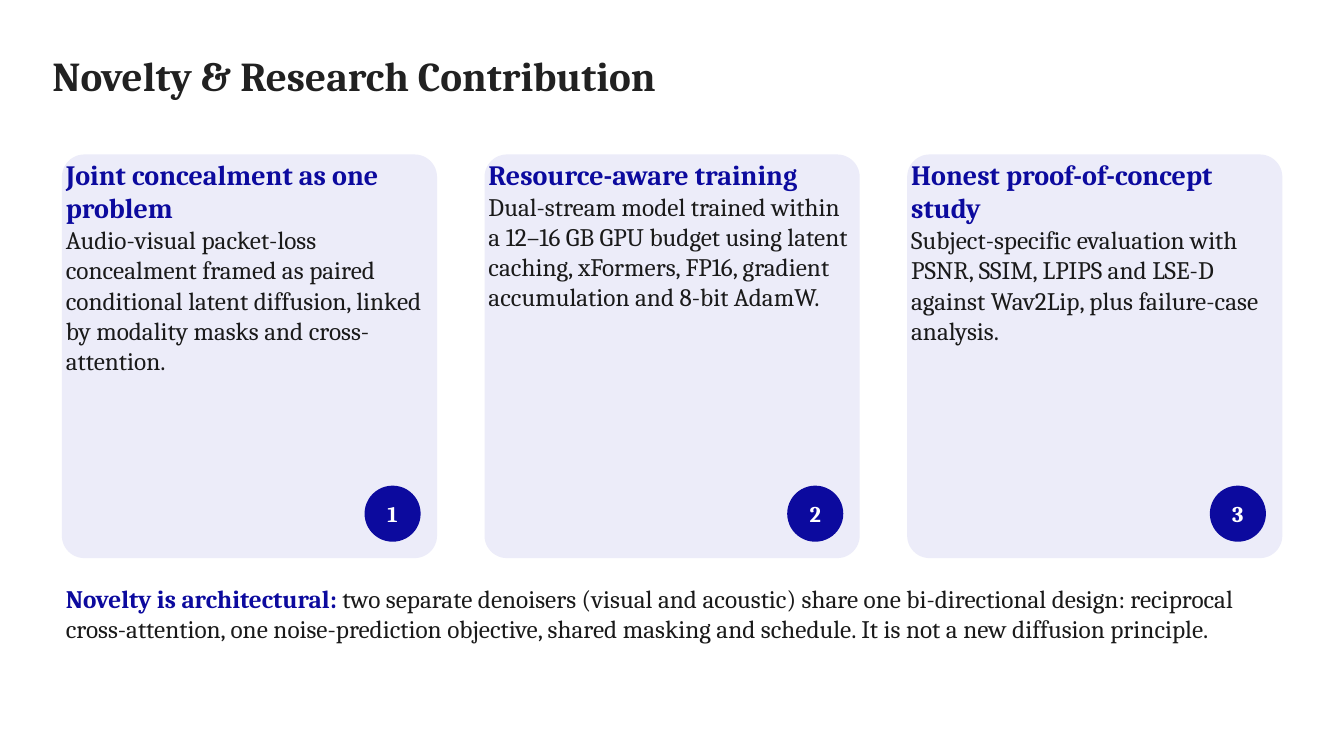
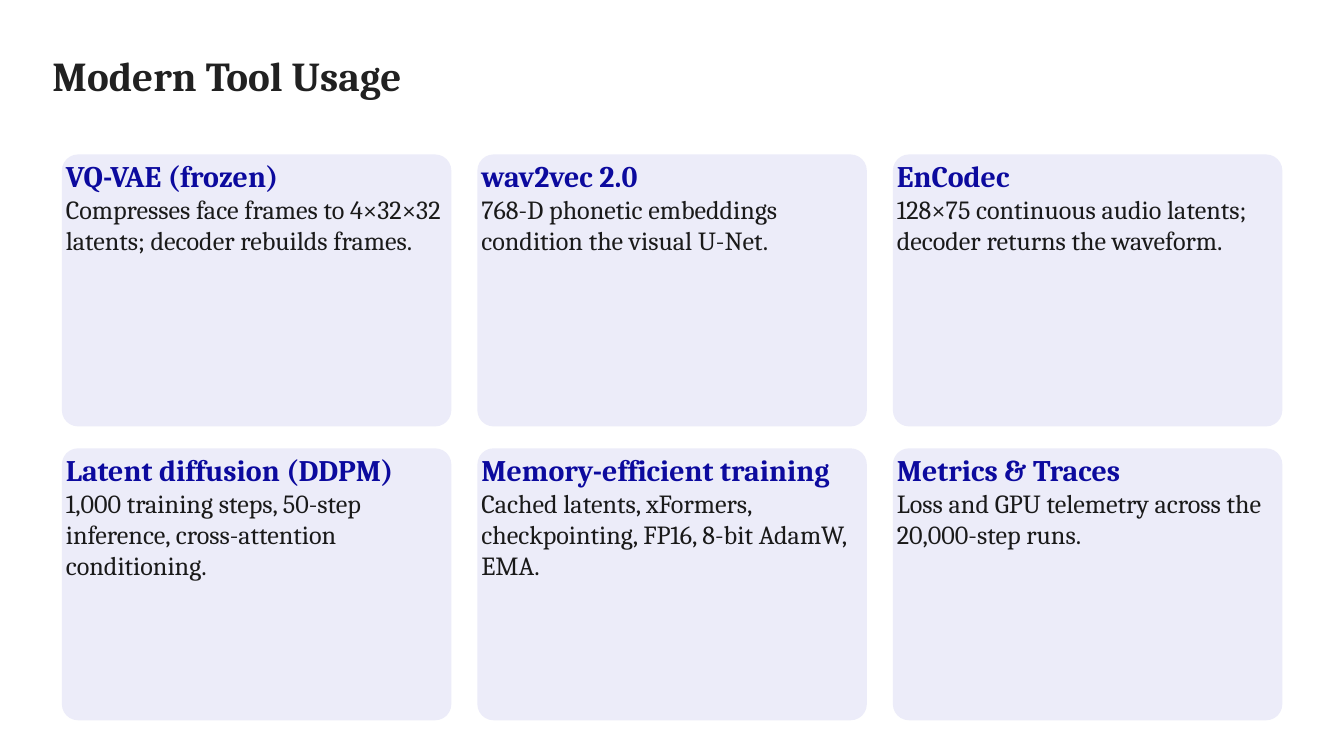
from dataclasses import dataclass

from pptx import Presentation
from pptx.dml.color import RGBColor
from pptx.enum.shapes import MSO_SHAPE
from pptx.enum.text import MSO_ANCHOR, MSO_AUTO_SIZE, PP_ALIGN
from pptx.util import Cm, Pt


@dataclass(frozen=True)
class Theme:
    font: str = "Cambria"
    title: RGBColor = RGBColor(0x21, 0x21, 0x21)
    body: RGBColor = RGBColor(0x1A, 0x1A, 0x1A)
    accent: RGBColor = RGBColor(0x0C, 0x0A, 0x9E)
    card: RGBColor = RGBColor(0xEC, 0xEC, 0xF9)
    white: RGBColor = RGBColor(0xFF, 0xFF, 0xFF)
    title_size: int = 44
    badge_size: int = 24
    card_sizes: tuple = (30, 27)
    tool_sizes: tuple = (32, 28)
    leading: float = 1.2


THEME = Theme()

# Content area and text padding, in cm
LEFT, TOP, WIDTH = 2.34, 5.84, 46.13
PAD = 0.15
COLS = 3


def fill_text(s, paragraphs, pad=PAD, anchor=MSO_ANCHOR.TOP, align=PP_ALIGN.LEFT):
    """Write paragraphs, each a list of (text, size, colour, bold) runs."""
    tf = s.text_frame
    tf.word_wrap = True
    tf.auto_size = MSO_AUTO_SIZE.NONE
    tf.vertical_anchor = anchor
    tf.margin_left = tf.margin_right = tf.margin_top = tf.margin_bottom = Cm(pad)
    for i, runs in enumerate(paragraphs):
        p = tf.add_paragraph() if i else tf.paragraphs[0]
        p.alignment = align
        p.line_spacing = Pt(runs[0][1] * THEME.leading)
        for text, size, colour, bold in runs:
            r = p.add_run()
            r.text = text
            r.font.name = THEME.font
            r.font.size = Pt(size)
            r.font.bold = bold
            r.font.color.rgb = colour


def add_shape(slide, kind, x, y, w, h, colour):
    s = slide.shapes.add_shape(kind, Cm(x), Cm(y), Cm(w), Cm(h))
    s.shadow.inherit = False
    s.fill.solid()
    s.fill.fore_color.rgb = colour
    s.line.fill.background()
    return s


contributions = [
    ("Joint concealment as one problem",
     "Audio-visual packet-loss concealment framed as paired conditional latent "
     "diffusion, linked by modality masks and cross-attention."),
    ("Resource-aware training",
     "Dual-stream model trained within a 12–16 GB GPU budget using latent caching, "
     "xFormers, FP16, gradient accumulation and 8-bit AdamW."),
    ("Honest proof-of-concept study",
     "Subject-specific evaluation with PSNR, SSIM, LPIPS and LSE-D against Wav2Lip, "
     "plus failure-case analysis."),
]
tools = [
    ("VQ-VAE (frozen)",
     "Compresses face frames to 4×32×32 latents; decoder rebuilds frames."),
    ("wav2vec 2.0", "768-D phonetic embeddings condition the visual U-Net."),
    ("EnCodec", "128×75 continuous audio latents; decoder returns the waveform."),
    ("Latent diffusion (DDPM)",
     "1,000 training steps, 50-step inference, cross-attention conditioning."),
    ("Memory-efficient training",
     "Cached latents, xFormers, checkpointing, FP16, 8-bit AdamW, EMA."),
    ("Metrics & Traces", "Loss and GPU telemetry across the 20,000-step runs."),
]

# Title, cards, text sizes, card width, card height, row gap, corner radius, numbered
decks = [
    ("Novelty & Research Contribution", contributions, THEME.card_sizes,
     14.18, 15.26, 0, 0.85, True),
    ("Modern Tool Usage", tools, THEME.tool_sizes, 14.72, 10.28, 0.83, 0.61, False),
]

prs = Presentation()
prs.slide_width, prs.slide_height = Cm(50.8), Cm(28.58)
title_only = prs.slide_layouts[5]

for title, cards, (head_size, body_size), w, h, row_gap, radius, numbered in decks:
    slide = prs.slides.add_slide(title_only)
    s = slide.shapes.title
    s.left, s.top, s.width, s.height = Cm(1.98), Cm(1.9), Cm(46.84), Cm(2.84)
    fill_text(s, [[(title, THEME.title_size, THEME.title, True)]], pad=0)

    col_gap = (WIDTH - COLS * w) / (COLS - 1)
    for i, (head, body) in enumerate(cards):
        row, col = divmod(i, COLS)
        x = LEFT + col * (w + col_gap)
        y = TOP + row * (h + row_gap)
        card = add_shape(slide, MSO_SHAPE.ROUNDED_RECTANGLE, x, y, w, h, THEME.card)
        card.adjustments[0] = radius / min(w, h)
        box = slide.shapes.add_textbox(Cm(x), Cm(y - 0.04), Cm(w), Cm(h))
        fill_text(box, [[(head, head_size, THEME.accent, True)],
                        [(body, body_size, THEME.body, False)]])
        if numbered:
            size, inset = 2.12, 0.62
            badge = add_shape(slide, MSO_SHAPE.OVAL, x + w - inset - size,
                              y + h - inset - size, size, size, THEME.accent)
            fill_text(badge, [[(str(i + 1), THEME.badge_size, THEME.white, True)]],
                      anchor=MSO_ANCHOR.MIDDLE, align=PP_ALIGN.CENTER)

# Closing statement under the contributions
note = prs.slides[0].shapes.add_textbox(Cm(LEFT), Cm(21.9), Cm(WIDTH), Cm(4.75))
note.fill.solid()
note.fill.fore_color.rgb = THEME.white
note_size = THEME.card_sizes[1]
fill_text(note, [[
    ("Novelty is architectural: ", note_size, THEME.accent, True),
    ("two separate denoisers (visual and acoustic) share one bi-directional design: "
     "reciprocal cross-attention, one noise-prediction objective, shared masking and "
     "schedule. It is not a new diffusion principle.", note_size, THEME.body, False),
]])

prs.save("out.pptx")
